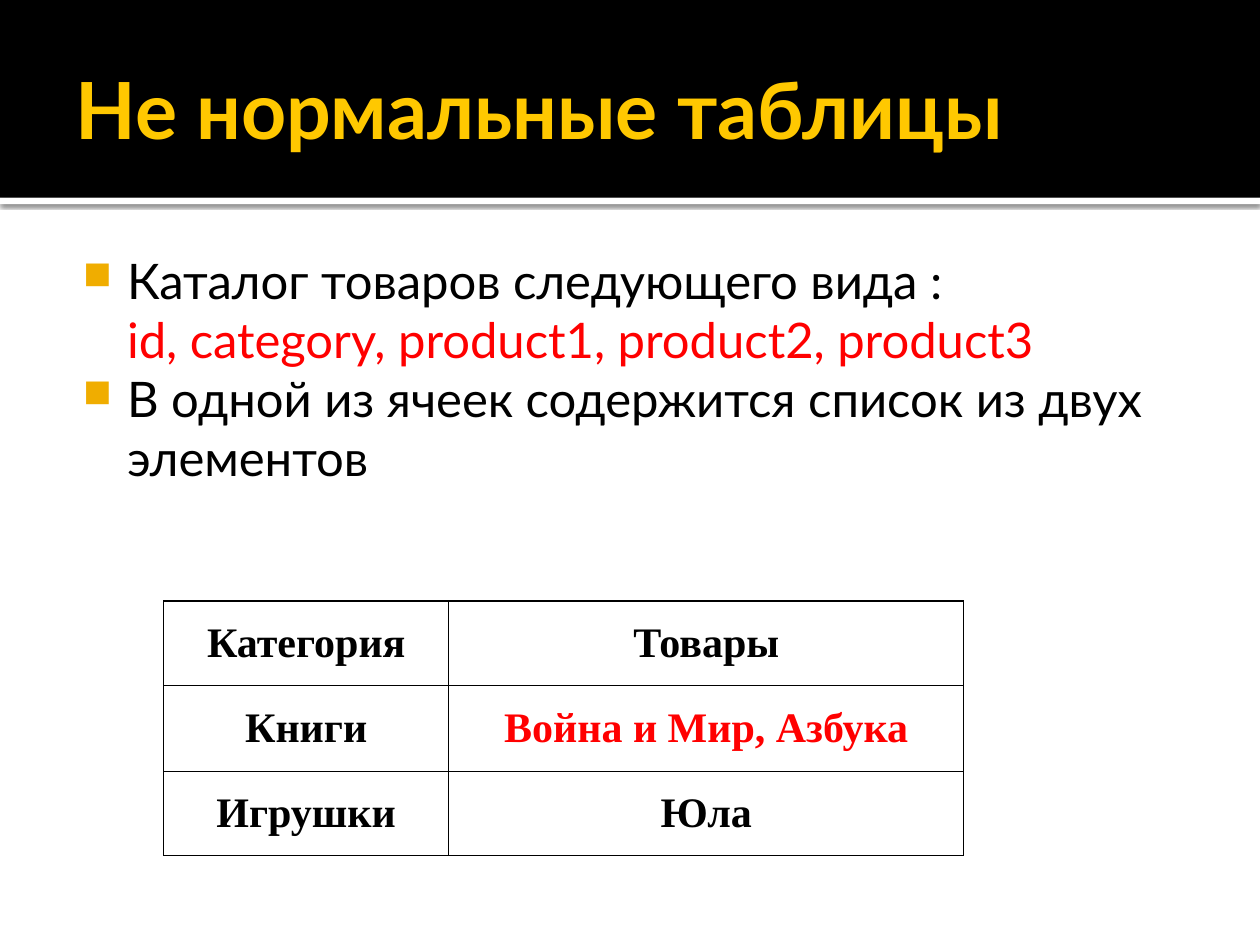
"""Build a slide about tables that are not normalised."""
from pptx import Presentation
from pptx.dml.color import RGBColor
from pptx.enum import shapes, text
from pptx.oxml import parse_xml
from pptx.oxml.ns import nsdecls
from pptx.util import Inches, Pt

BLACK = RGBColor(0x00, 0x00, 0x00)
WHITE = RGBColor(0xFF, 0xFF, 0xFF)
RED = RGBColor(0xFF, 0x00, 0x00)
YELLOW = RGBColor(0xFF, 0xC8, 0x00)
AMBER = RGBColor(0xF0, 0xAD, 0x00)


def add_run(paragraph, words, font, size, color, bold=False):
    run = paragraph.add_run()
    run.text = words
    run.font.name = font
    run.font.size = Pt(size)
    run.font.color.rgb = color
    run.font.bold = bold


def add_xml(parent, tag, attributes, content):
    parent.append(parse_xml(f"<a:{tag} {nsdecls('a')} {attributes}>{content}</a:{tag}>"))


presentation = Presentation()
presentation.slide_width = Inches(10)
presentation.slide_height = Inches(7.5)
slide = presentation.slides.add_slide(presentation.slide_layouts[5])

bands = []
for top, height, color in ((1.57, 0.05, WHITE), (0, 1.57, BLACK)):
    band = slide.shapes.add_shape(
        shapes.MSO_SHAPE.RECTANGLE, Inches(0), Inches(top), Inches(10), Inches(height))
    band.shadow.inherit = False
    band.fill.solid()
    band.fill.fore_color.rgb = color
    band.line.fill.background()
    bands.append(band)
add_xml(bands[0]._element.spPr.find("{*}effectLst"), "outerShdw",
        f'blurRad="{Pt(2.5)}" dist="{Pt(0.8)}" dir="5400000" algn="t" rotWithShape="0"',
        f'<a:srgbClr val="{BLACK}"><a:alpha val="60000"/></a:srgbClr>')

title = slide.shapes.title
slide.shapes._spTree.append(title._element)
title.left, title.top = Inches(0.5), Inches(0.17)
title.width, title.height = Inches(9), Inches(1.37)
frame = title.text_frame
frame.margin_left = Inches(0.1)
frame.margin_right = frame.margin_top = frame.margin_bottom = Inches(0.05)
frame.vertical_anchor = text.MSO_ANCHOR.MIDDLE
frame.auto_size = text.MSO_AUTO_SIZE.NONE
frame.paragraphs[0].alignment = text.PP_ALIGN.LEFT
add_run(frame.paragraphs[0], "Не нормальные таблицы", "Lato", 45, YELLOW, True)

body = slide.shapes.add_textbox(Inches(0.43), Inches(1.94), Inches(8.98), Inches(2.37))
frame = body.text_frame
frame.word_wrap = True
points = [
    [("Каталог товаров следующего вида :", BLACK),
     ("id, category, product1, product2, product3", RED)],
    [("В одной из ячеек содержится список из двух элементов", BLACK)],
]
for index, lines in enumerate(points):
    paragraph = frame.add_paragraph() if index else frame.paragraphs[0]
    properties = paragraph._p.get_or_add_pPr()
    properties.set("marL", str(Inches(0.48)))
    properties.set("indent", str(Inches(-0.35)))
    add_xml(properties, "buClr", "", f'<a:srgbClr val="{AMBER}"/>')
    add_xml(properties, "buSzPct", 'val="80000"', "")
    add_xml(properties, "buChar", 'char="■"', "")
    for number, (words, color) in enumerate(lines):
        if number:
            paragraph.add_line_break()
        add_run(paragraph, words, "Lato", 28, color)

rows = [("Категория", "Товары"), ("Книги", "Война и Мир, Азбука"), ("Игрушки", "Юла")]
table = slide.shapes.add_table(
    3, 2, Inches(1.3), Inches(4.77), Inches(6.34), Inches(2.02)).table
table.first_row = table.horz_banding = False
for column, width in zip(table.columns, (2.26, 4.09)):
    column.width = Inches(width)
for row, height, words in zip(table.rows, (0.67, 0.68, 0.67), rows):
    row.height = Inches(height)
    for cell, label in zip(row.cells, words):
        for side in ("lnL", "lnR", "lnT", "lnB"):
            add_xml(cell._tc.get_or_add_tcPr(), side, f'w="{Pt(0.75)}"',
                    f'<a:solidFill><a:srgbClr val="{BLACK}"/></a:solidFill>')
        cell.fill.background()
        cell.vertical_anchor = text.MSO_ANCHOR.MIDDLE
        paragraph = cell.text_frame.paragraphs[0]
        paragraph.alignment = text.PP_ALIGN.CENTER
        add_run(paragraph, label, "Times New Roman", 24, RED if "," in label else BLACK, True)

presentation.save("out.pptx")
